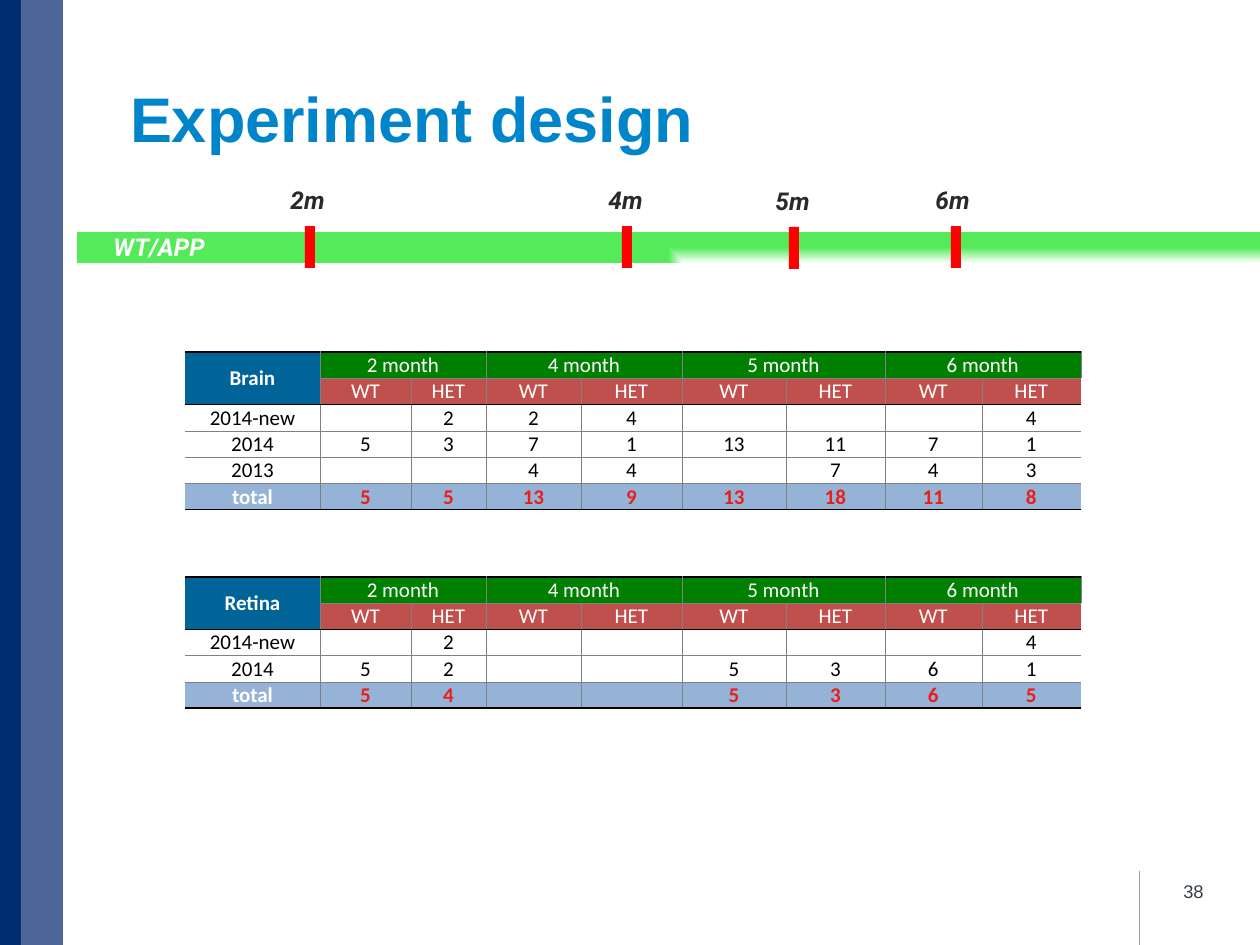
import pptx
import pptx.util
import pptx.dml.color
import pptx.enum.shapes
import pptx.enum.text
from lxml import etree
from pptx.oxml.ns import qn

RGB = pptx.dml.color.RGBColor
Anchor = pptx.enum.text.MSO_ANCHOR
Align = pptx.enum.text.PP_ALIGN

NAVY = RGB(0x00, 0x2D, 0x72)
SLATE = RGB(0x4F, 0x66, 0x98)
SKY = RGB(0x00, 0x85, 0xCA)
DARK = RGB(0x2C, 0x2A, 0x29)
NUMBER_GREY = RGB(0x33, 0x3F, 0x48)
RULE_GREY = RGB(0xA0, 0xA0, 0xA0)
GRID_GREY = RGB(0x80, 0x80, 0x80)
BLACK = RGB(0x00, 0x00, 0x00)
WHITE = RGB(0xFF, 0xFF, 0xFF)
LIME = RGB(0x55, 0xEA, 0x5A)
RED = RGB(0xFF, 0x00, 0x00)
TOTAL_RED = RGB(0xEB, 0x1E, 0x18)
TEAL = RGB(0x00, 0x64, 0x98)
GREEN = RGB(0x00, 0x80, 0x00)
BRICK = RGB(0xC0, 0x50, 0x4D)
PALE_BLUE = RGB(0x95, 0xB3, 0xD7)

MONTHS = ["2 month", "4 month", "5 month", "6 month"]
COLUMN_WIDTHS = [135, 91, 75, 95, 101, 104, 99, 97, 99]
BRAIN_ROWS = [
    ["2014-new", "", "2", "2", "4", "", "", "", "4"],
    ["2014", "5", "3", "7", "1", "13", "11", "7", "1"],
    ["2013", "", "", "4", "4", "", "7", "4", "3"],
    ["total", "5", "5", "13", "9", "13", "18", "11", "8"],
]
RETINA_ROWS = [
    ["2014-new", "", "2", "", "", "", "", "", "4"],
    ["2014", "5", "2", "", "", "5", "3", "6", "1"],
    ["total", "5", "4", "", "", "5", "3", "6", "5"],
]
# Label, label left and top, marker left and top
TIME_POINTS = [
    ("2m", 278, 179, 305, 226),
    ("4m", 596, 179, 622, 226),
    ("5m", 763, 180, 789, 227),
    ("6m", 923, 179, 951, 226),
]


def px(length):
    return round(length * 914400 / 126)


def apply_format(target, values):
    for name, value in values.items():
        setattr(target, name, value)


def write_text(frame, text, color, font, align=None):
    para = frame.paragraphs[0]
    para.alignment = align
    span = para.add_run()
    span.text = text
    apply_format(span.font, font)
    span.font.color.rgb = color


def add_bar(page, left, top, width, height, color):
    bar = page.shapes.add_shape(
        pptx.enum.shapes.MSO_SHAPE.RECTANGLE, px(left), px(top), px(width), px(height))
    bar.shadow.inherit = False
    bar.line.fill.background()
    bar.fill.solid()
    bar.fill.fore_color.rgb = color
    return bar


def fade_to_corner(bar, inner, outer):
    """Fade from the outer colour to the inner one at the bottom right."""
    bar.fill.gradient()
    for stop, color in zip(bar.fill.gradient_stops, (inner, outer)):
        stop.color.rgb = color
    gradient = bar.element.spPr.find(qn("a:gradFill"))
    gradient.remove(gradient.find(qn("a:lin")))
    shade = etree.SubElement(gradient, qn("a:path"), path="rect")
    etree.SubElement(shade, qn("a:fillToRect"), l="100000", t="100000")


def add_label(page, text, left, top, width, color):
    box = page.shapes.add_textbox(px(left), px(top), px(width), px(43))
    box.text_frame.word_wrap = False
    font = {"name": "Roboto", "size": pptx.util.Pt(14), "bold": True, "italic": True}
    write_text(box.text_frame, text, color, font)


def add_title(page, text):
    title = page.shapes.title
    apply_format(title, {"left": px(130), "top": px(3), "width": px(1086), "height": px(158)})
    apply_format(title.text_frame, {
        "vertical_anchor": Anchor.BOTTOM, "word_wrap": True, "margin_left": 0})
    font = {"name": "Arial", "size": pptx.util.Pt(36), "bold": True}
    write_text(title.text_frame, text, SKY, font, Align.LEFT)


def add_page_number(page, text):
    rule = page.shapes.add_connector(
        pptx.enum.shapes.MSO_CONNECTOR.STRAIGHT, px(1139), px(871), px(1139), px(945))
    rule.line.color.rgb = RULE_GREY
    rule.line.width = pptx.util.Pt(0.25)
    etree.SubElement(rule.element.spPr, qn("a:effectLst"))
    box = page.shapes.add_textbox(px(922), px(866), px(294), px(50))
    apply_format(box.text_frame, {"word_wrap": True, "vertical_anchor": Anchor.MIDDLE})
    font = {"name": "Arial", "size": pptx.util.Pt(10.5)}
    write_text(box.text_frame, text, NUMBER_GREY, font, Align.RIGHT)


def set_border(cell, side, color, width):
    properties = cell._tc.get_or_add_tcPr()
    line = etree.SubElement(properties, qn("a:ln" + side), w=str(pptx.util.Pt(width)))
    if color is None:
        etree.SubElement(line, qn("a:noFill"))
    else:
        fill = etree.SubElement(line, qn("a:solidFill"))
        etree.SubElement(fill, qn("a:srgbClr"), val=str(color))


def set_borders(cell, row, column, last_row, last_column):
    thin, thick, none = (GRID_GREY, 0.25), (BLACK, 1), (None, 0)
    merged_head = row == 0 and column == 0
    sides = {
        "L": none if column == 0 else thin,
        "R": none if column == last_column else thin,
        "T": thick if row in (0, 2) else thin,
        "B": thick if row in (1, last_row) or merged_head else thin,
    }
    for side, (color, width) in sides.items():
        set_border(cell, side, color, width)


def cell_colors(row, column, last_row):
    """Return the fill and text colours of a cell."""
    if row < 2:
        return (TEAL if column == 0 else (GREEN, BRICK)[row]), WHITE
    if row == last_row:
        return PALE_BLUE, (WHITE if column == 0 else TOTAL_RED)
    return None, BLACK


def format_cell(cell, text, row, column, last_row, last_column):
    set_borders(cell, row, column, last_row, last_column)
    fill, color = cell_colors(row, column, last_row)
    if fill is None:
        cell.fill.background()
    else:
        cell.fill.solid()
        cell.fill.fore_color.rgb = fill
    head = row == 0 and column == 0
    apply_format(cell, {
        "margin_left": 0, "margin_right": 0, "margin_top": 0, "margin_bottom": 0,
        "vertical_anchor": Anchor.MIDDLE if head else Anchor.BOTTOM})
    if text:
        font = {"name": "Calibri", "size": pptx.util.Pt(12), "bold": head or row == last_row}
        write_text(cell.text_frame, text, color, font, Align.CENTER)
    else:
        # Keep empty cells from raising the row height
        etree.SubElement(cell.text_frame.paragraphs[0]._p, qn("a:endParaRPr"), sz="1200")


def add_count_table(page, name, body, top, height):
    months = [text for month in MONTHS for text in (month, "")]
    rows = [[name] + months, [""] + ["WT", "HET"] * len(MONTHS)] + body
    last_row, last_column = len(rows) - 1, len(COLUMN_WIDTHS) - 1
    table = page.shapes.add_table(
        len(rows), len(COLUMN_WIDTHS), px(185), px(top),
        px(sum(COLUMN_WIDTHS)), px(height)).table
    apply_format(table, {"first_row": False, "horz_banding": False})
    for column, width in zip(table.columns, COLUMN_WIDTHS):
        column.width = px(width)
    for row, texts in enumerate(rows):
        for column, text in enumerate(texts):
            format_cell(table.cell(row, column), text, row, column, last_row, last_column)
    table.cell(0, 0).merge(table.cell(1, 0))
    for column in range(1, last_column, 2):
        table.cell(0, column).merge(table.cell(0, column + 1))


def main():
    deck = pptx.Presentation()
    deck.slide_width, deck.slide_height = px(1260), px(945)
    page = deck.slides.add_slide(deck.slide_layouts[5])

    # Side bands, title and page number
    add_bar(page, 0, 0, 21, 945, NAVY)
    add_bar(page, 21, 0, 42, 945, SLATE)
    add_title(page, "Experiment design")
    add_page_number(page, "38")

    # Animal counts
    add_count_table(page, "Brain", BRAIN_ROWS, 352, 158)
    add_count_table(page, "Retina", RETINA_ROWS, 577, 131)

    # Timeline
    timeline = add_bar(page, 77, 232, 1183, 31, LIME)
    fade_to_corner(timeline, WHITE, LIME)
    add_label(page, "WT/APP", 101, 226, 127, WHITE)
    for text, label_left, label_top, marker_left, marker_top in TIME_POINTS:
        add_bar(page, marker_left, marker_top, 10, 42, RED)
        add_label(page, text, label_left, label_top, 67, DARK)

    deck.save("out.pptx")


if __name__ == "__main__":
    main()
